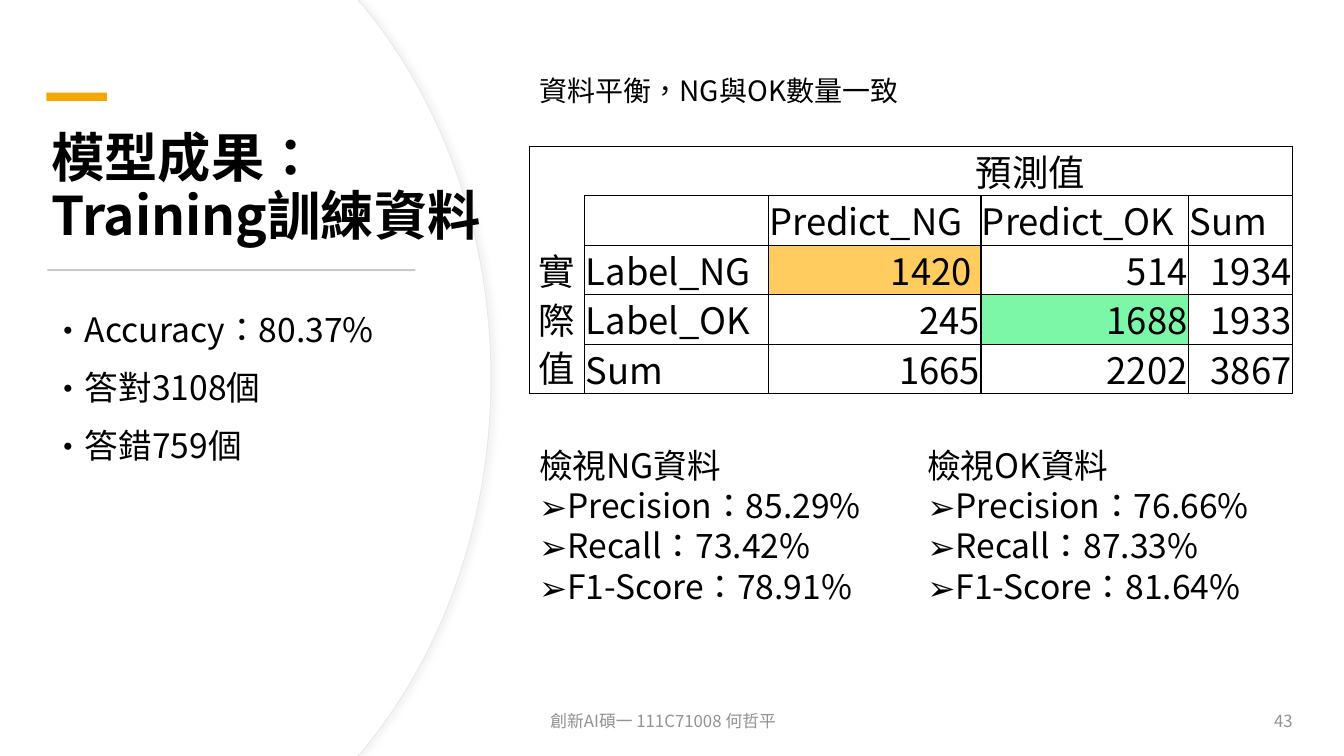
from lxml import etree
from pptx import Presentation
from pptx.dml.color import RGBColor
from pptx.enum.lang import MSO_LANGUAGE_ID as Language
from pptx.enum.shapes import MSO_SHAPE as Shape
from pptx.enum.text import MSO_ANCHOR as Anchor, MSO_AUTO_SIZE as AutoSize, PP_ALIGN as Align
from pptx.oxml import parse_xml
from pptx.oxml.ns import nsdecls, qn
from pptx.util import Inches, Pt

COLORS = {"white": "FFFFFF", "text": "000000", "accent": "F5A700", "rule": "C9C9C9",
          "edge": "E9E9E9", "shadow": "D9D9D9", "footer": "929292",
          "ng": "FFCC60", "ok": "7BF7A7"}
FONT = "Noto Sans CJK SC"


def color(name):
    """Return the named colour."""
    return RGBColor.from_string(COLORS[name])


def write(paragraph, text, size=24, ink="text", bold=False, align=Align.LEFT,
          before=0, after=0, spacing=1.0, bullet=None, indent=0):
    """Fill one paragraph with formatted text."""
    paragraph.text = text
    props = paragraph._p.get_or_add_pPr()
    props.set("marL", str(Inches(indent)))
    props.set("indent", str(-Inches(indent)))
    if bullet:
        etree.SubElement(props, qn("a:buFont"), typeface=FONT)
        etree.SubElement(props, qn("a:buChar"), char=bullet)
    else:
        etree.SubElement(props, qn("a:buNone"))
    paragraph.alignment = align
    paragraph.space_before, paragraph.space_after = Pt(before), Pt(after)
    paragraph.line_spacing = spacing
    for run in paragraph.runs:
        run.font.name, run.font.size, run.font.bold = FONT, Pt(size), bold
        run.font.language_id = Language.TRADITIONAL_CHINESE
        run.font.color.rgb = color(ink)
    for latin in list(paragraph._p.iter(qn("a:latin"))):
        latin.addnext(latin.makeelement(qn("a:ea"), {"typeface": FONT}))


class SlideBuilder:
    """Adds styled elements to the current slide."""

    def __init__(self, deck):
        """Start a title and content slide."""
        self.slide = deck.slides.add_slide(deck.slide_layouts[1])
        self.shapes = self.slide.shapes
        self.slide.background.fill.solid()
        self.slide.background.fill.fore_color.rgb = color("white")

    def bar(self, left, top, width, height, fill):
        """Add a plain rectangle."""
        bar = self.shapes.add_shape(Shape.RECTANGLE, *map(Inches, (left, top, width, height)))
        bar.shadow.inherit = False
        bar.fill.solid()
        bar.fill.fore_color.rgb = color(fill)
        bar.line.fill.background()

    def panel(self, right, outlined):
        """Add the white panel with a curved right edge."""
        corner, bend = right - 1.32, right - 1.25
        outline = [(bend, 0.08), (right, 3.75), (bend, 7.42), (corner, 7.5), (0, 7.5), (0, 0)]
        builder = self.shapes.build_freeform(Inches(corner), 0)
        builder.add_line_segments([(Inches(x), Inches(y)) for x, y in outline], close=True)
        panel = builder.convert_to_shape()
        curves = [[(right - 0.48, 1.02), (right, 2.32), (right, 3.75)],
                  [(right, 5.18), (right - 0.48, 6.48), (bend, 7.42)]]
        segments = list(panel.element.iter(qn("a:lnTo")))[1:3]
        for segment, curve in zip(segments, curves):
            bezier = segment.makeelement(qn("a:cubicBezTo"), {})
            for x, y in curve:
                etree.SubElement(bezier, qn("a:pt"), x=str(Inches(x)), y=str(Inches(y)))
            segment.getparent().replace(segment, bezier)
        panel.shadow.inherit = False
        panel.fill.solid()
        panel.fill.fore_color.rgb = color("white")
        if not outlined:
            panel.line.fill.background()
            return
        panel.line.color.rgb = color("edge")
        panel.line.width = Pt(0.75)
        effects = panel.element.spPr.find(qn("a:effectLst"))
        effects.append(parse_xml(
            f'<a:outerShdw {nsdecls("a")} blurRad="{Pt(4)}" dist="{Pt(3)}" dir="0">'
            f'<a:srgbClr val="{COLORS["shadow"]}"><a:alpha val="30000"/></a:srgbClr>'
            '</a:outerShdw>'))

    def fill_frame(self, frame, lines, anchor, bullets_from=0, bullet=None, **style):
        """Write lines into a text frame, with bullets from a given line on."""
        frame.word_wrap, frame.auto_size = True, AutoSize.NONE
        frame.vertical_anchor = anchor
        gap = style.pop("before", 0)
        for number, line in enumerate(lines):
            paragraph = frame.add_paragraph() if number else frame.paragraphs[0]
            write(paragraph, line, before=gap if number else 0,
                  bullet=bullet if number >= bullets_from else None, **style)

    def placeholder(self, index, box, lines, anchor=Anchor.TOP, **style):
        """Move a placeholder to the front and fill it."""
        holder = self.slide.placeholders[index]
        holder.left, holder.top, holder.width, holder.height = map(Inches, box)
        holder.element.getparent().append(holder.element)
        self.fill_frame(holder.text_frame, lines, anchor, **style)

    def text(self, box, lines, anchor=Anchor.MIDDLE, **style):
        """Add a text box."""
        self.fill_frame(self.shapes.add_textbox(*map(Inches, box)).text_frame,
                        lines, anchor, **style)

    def borders(self, cell, sides):
        """Draw the listed cell sides and clear the others."""
        props = cell._tc.get_or_add_tcPr()
        for position, side in enumerate("LRTB"):
            paint = (f'<a:solidFill><a:srgbClr val="{COLORS["text"]}"/></a:solidFill>'
                     if side in sides else "<a:noFill/>")
            props.insert(position, parse_xml(
                f'<a:ln{side} {nsdecls("a")} w="{Pt(1)}">{paint}</a:ln{side}>'))

    def matrix(self, left, top, widths, row_height, rows, merges, fills, sides):
        """Add the confusion matrix."""
        frame = self.shapes.add_table(
            len(rows), len(widths), Inches(left), Inches(top),
            Inches(sum(widths)), Inches(row_height * len(rows)))
        table = frame.table
        table.first_row = table.horz_banding = False
        for column, width in zip(table.columns, widths):
            column.width = Inches(width)
        for r, values in enumerate(rows):
            table.rows[r].height = Inches(row_height)
            for c, value in enumerate(values):
                cell = table.cell(r, c)
                cell.margin_left = cell.margin_right = Inches(0.01)
                cell.margin_top = Inches(0.01 if c == 0 else 0.03)
                cell.margin_bottom = 0
                cell.vertical_anchor = Anchor.MIDDLE
                if (r, c) in fills:
                    cell.fill.solid()
                    cell.fill.fore_color.rgb = color(fills[r, c])
                else:
                    cell.fill.background()
                self.borders(cell, sides.get((r, c), "LRTB"))
                if value:
                    centered = r == 0 or c == 0
                    numeric = value.strip().isdigit()
                    write(cell.text_frame.paragraphs[0], value, size=26,
                          spacing=0.92 if c == 0 else 0.88,
                          align=Align.CENTER if centered else
                          Align.RIGHT if numeric else Align.LEFT)
        for start, end in merges:
            table.cell(*start).merge(table.cell(*end))


def main():
    """Build the training results slide."""
    deck = Presentation()
    deck.slide_width, deck.slide_height = Inches(13.33), Inches(7.5)
    page = SlideBuilder(deck)

    page.panel(4.87, outlined=True)
    page.panel(4.86, outlined=False)
    page.placeholder(0, (0.41, 1.27, 5.07, 1.23), ["模型成果：\vTraining訓練資料"],
                     Anchor.BOTTOM, size=38, bold=True, spacing=0.9)
    page.bar(0.46, 0.92, 0.6, 0.08, "accent")
    page.bar(0.47, 2.67, 3.65, 0.02, "rule")
    page.placeholder(1, (0.41, 2.97, 3.76, 3.51),
                     ["Accuracy：80.37%", "答對3108個", "答錯759個"],
                     bullet="•", indent=0.25, before=10, spacing=1.1)

    page.text((5.36, 6.95, 4.5, 0.4), ["創新AI碩一 111C71008 何哲平"],
              size=12, ink="footer", after=6)
    page.text((10.6, 6.95, 2.32, 0.4), ["43"],
              size=12, ink="footer", after=6, align=Align.RIGHT)

    scores = {"NG": (5.25, "85.29%", "73.42%", "78.91%"),
              "OK": (9.1, "76.66%", "87.33%", "81.64%")}
    for label, (left, precision, recall, f1) in scores.items():
        page.text((left, 4.36, 3.77, 2.12),
                  [f"檢視{label}資料", f"Precision：{precision}",
                   f"Recall：{recall}", f"F1-Score：{f1}"],
                  Anchor.TOP, bullet="➢", bullets_from=1)

    page.matrix(5.25, 1.45, [0.55, 1.82, 2.11, 2.06, 1.03], 0.49,
                [["", "", "預測值", "", ""],
                 ["", "", "Predict_NG", "Predict_OK", "Sum"],
                 ["實\v際\v值", "Label_NG", "1420 ", "514", "1934"],
                 ["", "Label_OK", "245", "1688", "1933"],
                 ["", "Sum", "1665", "2202", "3867"]],
                merges=[((0, 2), (0, 4)), ((2, 0), (4, 0))],
                fills={(2, 2): "ng", (3, 3): "ok"},
                sides={(0, 0): "LT", (0, 1): "TB", (0, 2): "RTB", (0, 3): "TB",
                       (0, 4): "RTB", (1, 0): "LR", (2, 0): "LRB", (3, 0): "LR",
                       (4, 0): "LRB"})
    page.text((5.25, 0.51, 4.59, 0.67), ["資料平衡，NG與OK數量一致"], size=20, spacing=1.3)
    deck.save("out.pptx")


if __name__ == "__main__":
    main()
